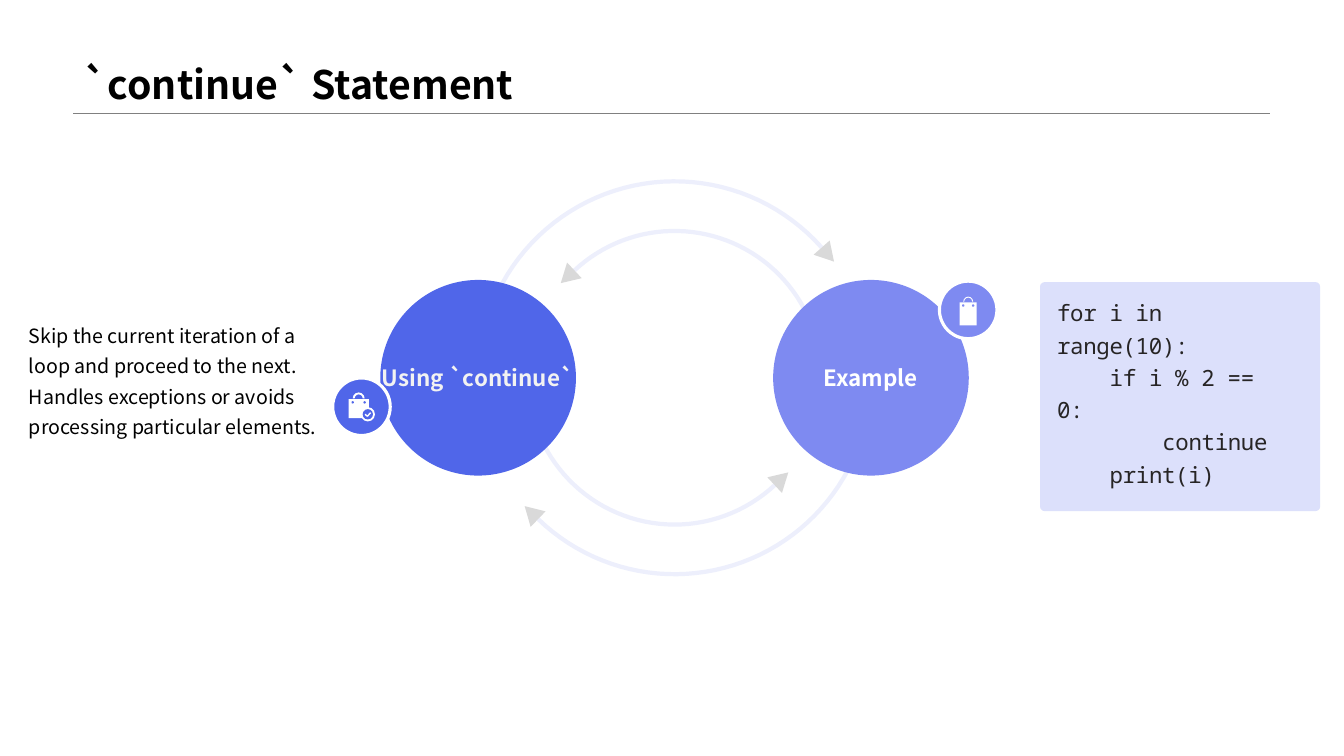
from dataclasses import dataclass
from math import cos, radians, sin

from lxml import etree
from pptx import Presentation
from pptx import util as u
from pptx.dml.color import RGBColor
from pptx.enum import shapes, text
from pptx.oxml import ns

PRESET = shapes.MSO_SHAPE


@dataclass(frozen=True)
class Theme:
    sans: str = "Noto Sans CJK SC"
    mono: str = "Noto Sans Mono"
    title_size: int = 28
    label_size: int = 16
    body_size: int = 14
    ink: str = "000000"
    code_ink: str = "272525"
    rule: str = "808080"
    white: str = "FFFFFF"
    pale: str = "F2F2F2"
    blue: str = "5066E9"
    violet: str = "7E8AF1"
    panel: str = "DCE0FB"
    arrowhead: str = "D9D9D9"


THEME = Theme()

# The cycle, in centimetres
CENTRE_X, CENTRE_Y = 17.0, 9.52
OUTER, INNER = 4.95, 3.7
TOPIC_SIZE = 4.93


def rgb(colour):
    return RGBColor.from_string(colour)


def paint(shape, fill=None, line=None, weight=1.0, opacity=None):
    """Set fill and outline; opacity, in percent, applies to the outline."""
    shape.shadow.inherit = False
    if fill:
        shape.fill.solid()
        shape.fill.fore_color.rgb = rgb(fill)
    else:
        shape.fill.background()
    if not line:
        shape.line.fill.background()
        return
    shape.line.color.rgb = rgb(line)
    shape.line.width = u.Pt(weight)
    if opacity:
        colour = shape._element.spPr.find(ns.qn("a:ln")).find(".//" + ns.qn("a:srgbClr"))
        etree.SubElement(colour, ns.qn("a:alpha"), val=str(opacity * 1000))


def write(shape, lines, size, colour, font=THEME.sans, bold=False, align=text.PP_ALIGN.LEFT,
          anchor=text.MSO_ANCHOR.TOP, spacing=None, tracking=None, wrap=True, inset=None):
    """Fill a shape with (text, first-line indent in points) pairs."""
    frame = shape.text_frame
    frame.auto_size = text.MSO_AUTO_SIZE.NONE
    frame.word_wrap = wrap
    frame.vertical_anchor = anchor
    if inset is not None:
        frame.margin_left = frame.margin_right = u.Cm(inset)
        frame.margin_top = frame.margin_bottom = u.Cm(inset)
    for number, (words, indent) in enumerate(lines):
        paragraph = frame.add_paragraph() if number else frame.paragraphs[0]
        paragraph.alignment = align
        if spacing:
            paragraph.line_spacing = spacing
        if indent:
            properties = paragraph._p.get_or_add_pPr()
            properties.set("marL", "0")
            properties.set("indent", str(u.Pt(indent)))
        run = paragraph.add_run()
        run.text = words
        run.font.name = font
        run.font.size = u.Pt(size)
        run.font.bold = bold
        run.font.color.rgb = rgb(colour)
        if tracking:
            run._r.get_or_add_rPr().set("spc", str(round(tracking * 100)))


def preset(slide, kind, left, top, width, height, **style):
    shape = slide.shapes.add_shape(kind, u.Cm(left), u.Cm(top), u.Cm(width), u.Cm(height))
    paint(shape, **style)
    return shape


def disc(slide, x, y, size, **style):
    return preset(slide, PRESET.OVAL, x - size / 2, y - size / 2, size, size, **style)


def outline(slide, points, close=False, **style):
    (first, *rest) = [(u.Cm(x), u.Cm(y)) for x, y in points]
    builder = slide.shapes.build_freeform(*first)
    builder.add_line_segments(rest, close=close)
    paint(builder.convert_to_shape(), **style)


def text_box(slide, left, top, width, height, lines, **style):
    box = slide.shapes.add_textbox(u.Cm(left), u.Cm(top), u.Cm(width), u.Cm(height))
    write(box, lines, **style)


def heading(slide, words):
    title = slide.shapes.title
    title.left, title.top, title.width, title.height = map(u.Cm, (1.85, 0, 30.15, 2.84))
    write(title, [(words, 0)], THEME.title_size, THEME.ink, bold=True,
          anchor=text.MSO_ANCHOR.BOTTOM, spacing=1.2)
    rule = slide.shapes.add_connector(shapes.MSO_CONNECTOR.STRAIGHT,
                                      u.Cm(1.85), u.Cm(2.84), u.Cm(32), u.Cm(2.84))
    rule.line.color.rgb = rgb(THEME.rule)
    rule.line.width = u.Pt(0.25)
    etree.SubElement(rule._element.spPr, ns.qn("a:effectLst"))


def orbit_arrow(slide, radius, tail, head):
    """Arc from angle tail to angle head (clockwise degrees) with its arrowhead."""
    steps = 48
    angles = [radians(tail + (head - tail) * step / steps) for step in range(steps + 1)]
    arc = [(CENTRE_X + radius * cos(a), CENTRE_Y + radius * sin(a)) for a in angles]
    outline(slide, arc, line=THEME.blue, weight=3, opacity=10)

    length, half_base = 0.47, 0.27
    (x, y), end = arc[-1], angles[-1]
    across, down = cos(end), sin(end)
    forward = length if head > tail else -length
    outline(slide, [(x + half_base * across, y + half_base * down),
                    (x - half_base * across, y - half_base * down),
                    (x - forward * down, y + forward * across)],
            close=True, fill=THEME.arrowhead)


def topic(slide, x, words, fill, colour):
    circle = disc(slide, x, CENTRE_Y, TOPIC_SIZE, fill=fill)
    write(circle, [(words, 0)], THEME.label_size, colour, bold=True, wrap=False, inset=0,
          align=text.PP_ALIGN.CENTER, anchor=text.MSO_ANCHOR.MIDDLE)


def bag_badge(slide, x, y, fill, bag_x, bag_top, width, height, handle, band):
    """Round badge with a shopping bag: body, handle and two eyelets."""
    disc(slide, x, y, 1.45, fill=fill, line=THEME.white, weight=2.25)
    preset(slide, PRESET.RECTANGLE, bag_x - width / 2, bag_top, width, height, fill=THEME.white)
    loop = preset(slide, PRESET.BLOCK_ARC, bag_x - handle / 2, bag_top - handle / 2 - 0.02,
                  handle, handle, fill=THEME.white)
    loop.adjustments[2] = band
    for side in (-1, 1):
        disc(slide, bag_x + side * handle / 2, bag_top + 0.08, 0.06, fill=fill)


def check_mark(slide, x, y, fill):
    disc(slide, x, y, 0.36, fill=THEME.white)
    disc(slide, x, y, 0.26, fill=fill)
    outline(slide, [(x - 0.07, y), (x - 0.01, y + 0.05), (x + 0.07, y - 0.04)],
            line=THEME.white, weight=1)


def main():
    deck = Presentation()
    deck.slide_width, deck.slide_height = u.Cm(33.87), u.Cm(19.05)
    slide = deck.slides.add_slide(deck.slide_layouts[5])
    heading(slide, "`continue` Statement")

    # Cycle: arrows and topics, back to front
    orbit_arrow(slide, OUTER, 180, 318.5)
    orbit_arrow(slide, INNER, 185, 47)
    topic(slide, CENTRE_X - OUTER, "Using `continue`", THEME.blue, THEME.pale)
    orbit_arrow(slide, INNER, 360, 227)
    orbit_arrow(slide, OUTER, 0, 134)
    topic(slide, CENTRE_X + OUTER, "Example", THEME.violet, THEME.white)

    # Badges
    bag_badge(slide, 9.11, 10.25, THEME.blue, 9.04, 10.06, 0.51, 0.48, handle=0.3, band=0.16)
    check_mark(slide, 9.27, 10.44, THEME.blue)
    bag_badge(slide, 24.4, 7.81, THEME.violet, 24.4, 7.62, 0.43, 0.58, handle=0.25, band=0.1)

    # Explanation
    text_box(slide, 0.48, 7.09, 7.87, 4.85,
             [("Skip the current iteration of a loop and proceed to the next. "
               "Handles exceptions or avoids processing particular elements.", 0)],
             size=THEME.body_size, colour=THEME.ink, spacing=1.3,
             anchor=text.MSO_ANCHOR.MIDDLE)

    # Code example, indented by four characters a level
    panel = preset(slide, PRESET.ROUNDED_RECTANGLE, 26.21, 7.11, 7.06, 5.77, fill=THEME.panel)
    panel.adjustments[0] = 0.02
    level = 37.6
    text_box(slide, 26.39, 7.29, 6.43, 5.08,
             [("for i in range(10):", 0), ("if i % 2 == 0:", level),
              ("continue", 2 * level), ("print(i)", level)],
             size=THEME.label_size, colour=THEME.code_ink, font=THEME.mono,
             spacing=1.2, tracking=-0.2)

    deck.save("out.pptx")


if __name__ == "__main__":
    main()
